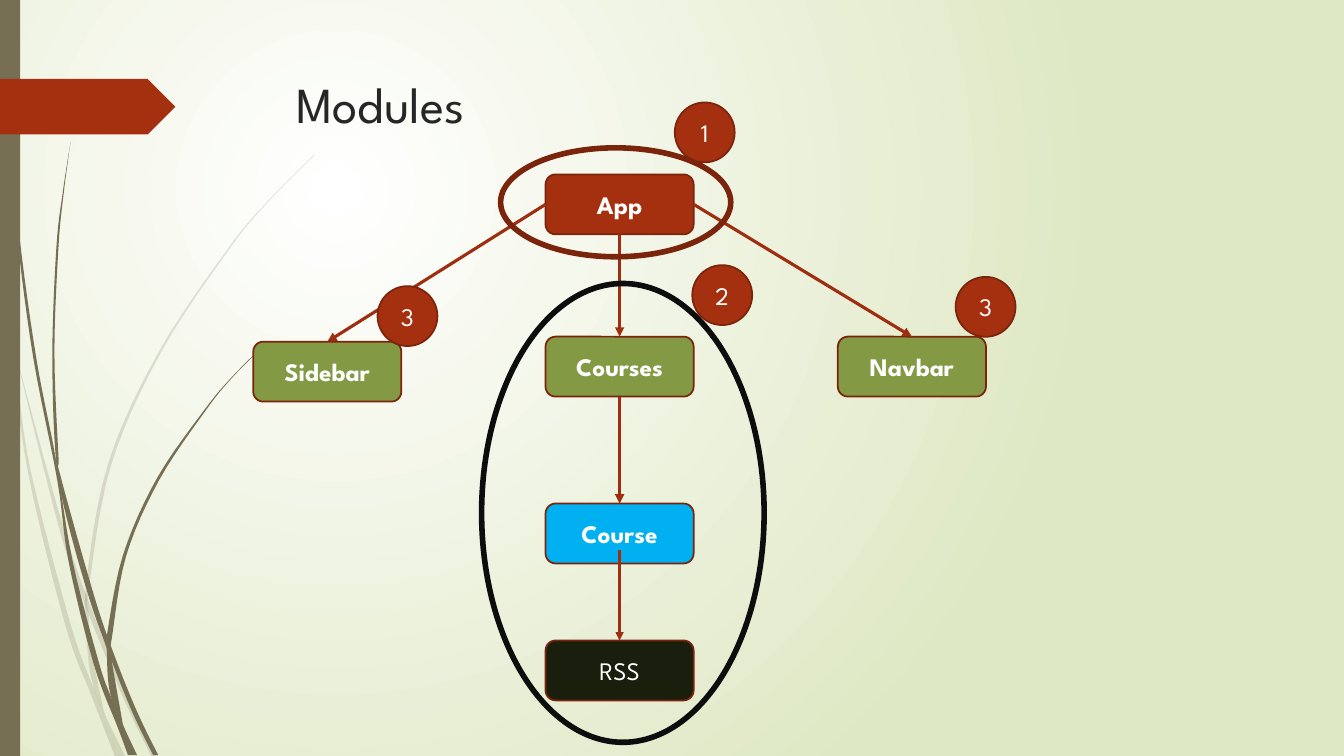
from lxml import etree
from pptx import Presentation
from pptx.dml.color import RGBColor
from pptx.enum.shapes import MSO_CONNECTOR, MSO_SHAPE
from pptx.enum.text import MSO_ANCHOR, PP_ALIGN
from pptx.oxml.ns import qn
from pptx.util import Pt

FONT = "League Spartan"
WHITE = RGBColor(0xFF, 0xFF, 0xFF)
PALE_GREEN = RGBColor(0xDF, 0xE8, 0xC4)
OLIVE = RGBColor(0x76, 0x6F, 0x54)
RUST = RGBColor(0xA5, 0x30, 0x10)
DARK_RUST = RGBColor(0x7A, 0x24, 0x0C)
ARROW_RUST = RGBColor(0x9E, 0x2E, 0x0F)
GREEN = RGBColor(0x83, 0x99, 0x43)
BLUE = RGBColor(0x00, 0xB0, 0xF0)
NEAR_BLACK = RGBColor(0x1A, 0x1F, 0x0D)
OUTLINE_BLACK = RGBColor(0x0D, 0x0D, 0x0D)
TITLE_GREY = RGBColor(0x26, 0x26, 0x26)


def write_text(shape, text, size=18, color=WHITE, bold=False,
               align=PP_ALIGN.CENTER, anchor=MSO_ANCHOR.MIDDLE):
    frame = shape.text_frame
    frame.word_wrap = True
    frame.vertical_anchor = anchor
    paragraph = frame.paragraphs[0]
    paragraph.alignment = align
    run = paragraph.add_run()
    run.text = text
    run.font.name = FONT
    run.font.size = Pt(size)
    run.font.bold = bold
    run.font.color.rgb = color


def smooth(knots, steps=6):
    """Return points on a Catmull-Rom curve through the knots, in 1/100 pt."""
    padded = [knots[0], *knots, knots[-1]]
    points = []
    for a, b, c, d in zip(padded, padded[1:], padded[2:], padded[3:]):
        for step in range(steps):
            t = step / steps
            points.append(tuple(
                50 * (2 * q + (r - p) * t + (2 * p - 5 * q + 4 * r - s) * t ** 2
                      + (3 * q - p - 3 * r + s) * t ** 3)
                for p, q, r, s in zip(a, b, c, d)))
    return points + [(100 * knots[-1][0], 100 * knots[-1][1])]


presentation = Presentation()
presentation.slide_width = Pt(960)
presentation.slide_height = Pt(540)
slide = presentation.slides.add_slide(presentation.slide_layouts[6])
shapes = slide.shapes

# Background: light centre a quarter of the way in from the top left
background = slide.background.fill
background.gradient()
for stop, color in zip(background.gradient_stops, (WHITE, PALE_GREEN)):
    stop.color.rgb = color
gradient = slide.background._cSld.find(".//" + qn("a:gradFill"))
gradient.remove(gradient.find(qn("a:lin")))
circle = etree.SubElement(gradient, qn("a:path"), {"path": "circle"})
etree.SubElement(circle, qn("a:fillToRect"),
                 {"l": "50000", "t": "50000", "r": "100000", "b": "100000"})

# Grass blades: opacity in percent, one edge downwards, the other edge upwards
blades = [
    (20, [(0, 215.3), (7.9, 252), (20.2, 338.4), (46.8, 447.1), (66.2, 499), (82, 540)],
         [(89.3, 540), (75.6, 512), (67, 491.8), (50.4, 445.7), (22.3, 337.7),
          (12.2, 270.7), (6.5, 231.8), (0, 203)]),
    (20, [(10.1, 248.4), (41.8, 375.8), (60.5, 431.3), (88.6, 499.7), (108, 540)],
         [(111.6, 540), (91.4, 498.2), (66.2, 437), (44.6, 374.4), (10.1, 248.4)]),
    (20, [(224.6, 110.2), (193, 141.8), (164.2, 175.7), (113.8, 250.6), (77, 331.9),
          (61.2, 420.5), (62.6, 465.1), (67, 491.8), (75.6, 512)],
         [(74.2, 508.3), (65.5, 465.1), (63.4, 439.2), (63.4, 420.5), (79.2, 332.6),
          (115.2, 251.3), (164.9, 176.4), (193, 142.6), (224.6, 110.9)]),
    (100, [(2.2, 0), (5, 79.2), (12.2, 167.8), (23.8, 255.6), (41, 343.4), (49, 401),
           (67, 474.5), (84.2, 519.8), (91.4, 539.3)],
          [(97.9, 539.3), (87.8, 517.7), (79.2, 497.5), (70.6, 473), (51.8, 400.3),
           (39.6, 326.2), (25.9, 255.6), (13.7, 167), (5.8, 78.5), (2.9, 0)]),
    (100, [(50.4, 101.5), (44.6, 139), (40.3, 176.4), (37.4, 251.3), (39.6, 323.3),
           (46.1, 363.6), (63.4, 426.2), (79.9, 472.3), (95, 509.8), (109.4, 539.3)],
          [(113, 539.3), (97.9, 508.3), (81.4, 467.3), (67, 424.8), (43.2, 339.8),
           (41.8, 326.2), (38.9, 251.3), (41.8, 176.4), (45.4, 139), (50.4, 101.5)]),
    (100, [(187.2, 247.7), (166.3, 268.6), (146.9, 291.6), (112.3, 341.3), (87.8, 396.7),
           (76.3, 454.3), (76.3, 464.4), (79.2, 497.5), (95.8, 539.3)],
          [(87.8, 517.7), (79.9, 472.3), (79.2, 461.5), (79.9, 455.8), (90, 397.4),
           (113.8, 342.7), (147.6, 292.3), (166.3, 269.3), (187.9, 247.7)]),
]
for opacity, down_edge, up_edge in blades:
    outline = smooth(down_edge) + smooth(up_edge)
    builder = shapes.build_freeform(*outline[0], scale=Pt(1) / 100)
    builder.add_line_segments(outline[1:], close=True)
    blade = builder.convert_to_shape()
    blade.shadow.inherit = False
    blade.fill.solid()
    blade.fill.fore_color.rgb = OLIVE
    blade.line.fill.background()
    if opacity < 100:
        fill_color = blade._element.spPr.find(".//" + qn("a:srgbClr"))
        etree.SubElement(fill_color, qn("a:alpha"), {"val": str(opacity * 1000)})

# Side bar and title tab
for kind, left, top, width, height, color in [
    (MSO_SHAPE.RECTANGLE, 0, 0, 14.4, 540, OLIVE),
    (MSO_SHAPE.PENTAGON, 0, 56.3, 125.3, 39.8, RUST),
]:
    band = shapes.add_shape(kind, Pt(left), Pt(top), Pt(width), Pt(height))
    band.shadow.inherit = False
    band.fill.solid()
    band.fill.fore_color.rgb = color
    band.line.fill.background()

title = shapes.add_textbox(Pt(204.5), Pt(49), Pt(702), Pt(100.8))
write_text(title, "Modules", size=36, color=TITLE_GREY,
           align=PP_ALIGN.LEFT, anchor=MSO_ANCHOR.TOP)

# Module boxes
BOX_WIDTH, BOX_HEIGHT = 105.8, 42.8
MIDDLE_LEFT, COLUMN_STEP = 389.7, 208.8
modules = {}
for name, column, top, color, bold in [
    ("App", 0, 124.6, RUST, True),
    ("Sidebar", -1, 244.1, GREEN, True),
    ("Courses", 0, 240.5, GREEN, True),
    ("Navbar", 1, 240.5, GREEN, True),
    ("Course", 0, 359.7, BLUE, True),
    ("RSS", 0, 457.5, NEAR_BLACK, False),
]:
    box = shapes.add_shape(MSO_SHAPE.ROUNDED_RECTANGLE,
                           Pt(MIDDLE_LEFT + column * COLUMN_STEP), Pt(top),
                           Pt(BOX_WIDTH), Pt(BOX_HEIGHT))
    box.shadow.inherit = False
    box.fill.solid()
    box.fill.fore_color.rgb = color
    box.line.color.rgb = DARK_RUST
    box.line.width = Pt(1.25)
    write_text(box, name, bold=bold)
    modules[name] = box

# Arrows between modules; the one to RSS starts inside the Course box
TOP, LEFT, BOTTOM, RIGHT = range(4)
for source, site, target, width in [
    ("App", BOTTOM, "Courses", 2.25),
    ("App", LEFT, "Sidebar", 2.25),
    ("App", RIGHT, "Navbar", 2.25),
    ("Courses", BOTTOM, "Course", 2.25),
    ("Course", None, "RSS", 2),
]:
    arrow = shapes.add_connector(MSO_CONNECTOR.STRAIGHT,
                                 Pt(MIDDLE_LEFT + BOX_WIDTH / 2), Pt(393.1), 0, 0)
    if site is not None:
        arrow.begin_connect(modules[source], site)
    arrow.end_connect(modules[target], TOP)
    arrow.line.color.rgb = ARROW_RUST
    arrow.line.width = Pt(width)
    etree.SubElement(arrow.line._get_or_add_ln(), qn("a:tailEnd"), {"type": "triangle"})
    etree.SubElement(arrow._element.spPr, qn("a:effectLst"))

# Rings around module groups
for left, top, width, height, color in [
    (357.6, 105.6, 164.4, 77.8, DARK_RUST),
    (344, 202.5, 201.8, 327.7, OUTLINE_BLACK),
]:
    ring = shapes.add_shape(MSO_SHAPE.OVAL, Pt(left), Pt(top), Pt(width), Pt(height))
    ring.shadow.inherit = False
    ring.fill.background()
    ring.line.color.rgb = color
    ring.line.width = Pt(4)

# Numbered badges
BADGE_SIZE = 42.8
for number, left, top in [("3", 682.6, 197.8), ("2", 494.5, 189.4),
                          ("1", 482, 73.2), ("3", 269.7, 204.4)]:
    badge = shapes.add_shape(MSO_SHAPE.OVAL, Pt(left), Pt(top),
                             Pt(BADGE_SIZE), Pt(BADGE_SIZE))
    badge.shadow.inherit = False
    badge.fill.solid()
    badge.fill.fore_color.rgb = RUST
    badge.line.color.rgb = DARK_RUST
    badge.line.width = Pt(1.25)
    write_text(badge, number)

presentation.save("out.pptx")
